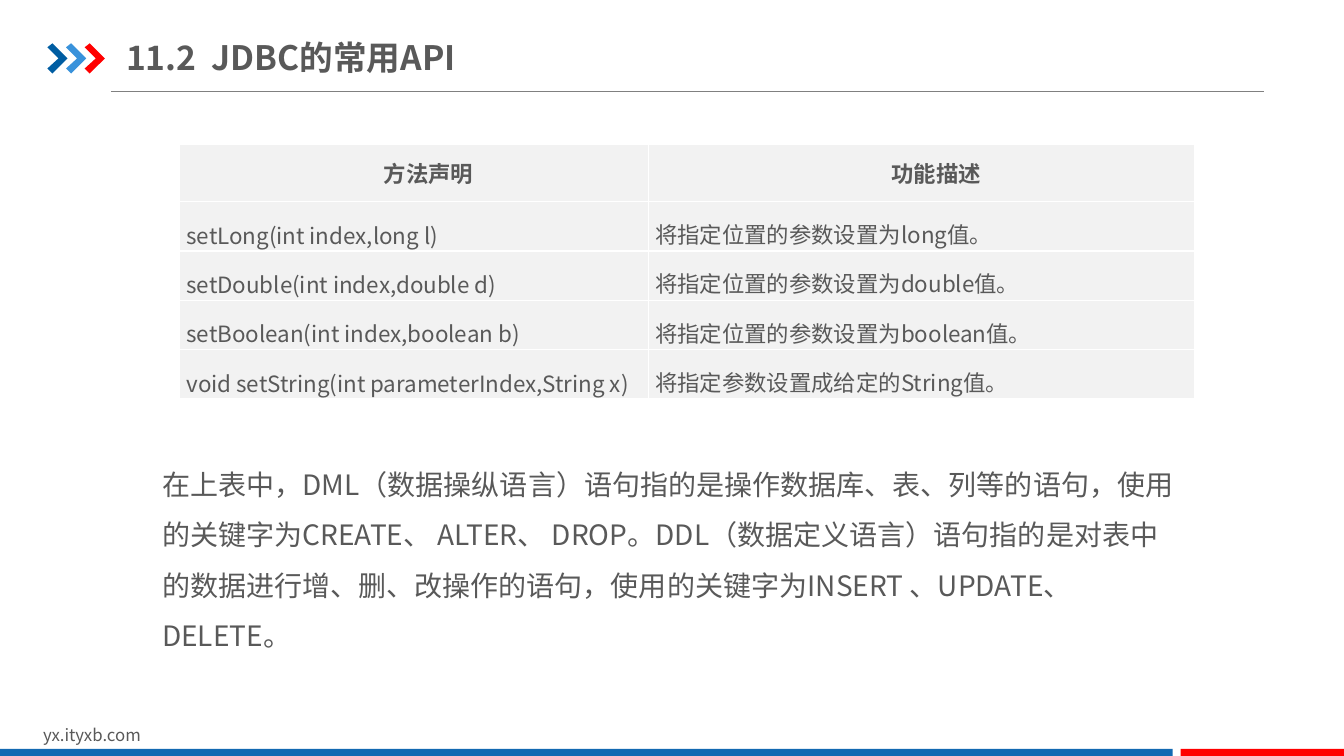
"""Build the JDBC common API slide with its method table."""
from dataclasses import dataclass

from lxml import etree
from pptx import Presentation
from pptx import util as u
from pptx.dml.color import RGBColor
from pptx.enum import shapes, text
from pptx.oxml import ns


@dataclass(frozen=True)
class Theme:
    font: str = "Noto Sans CJK SC"
    ink: str = "595959"
    rule: str = "808080"
    cell: str = "F2F2F2"
    border: str = "FFFFFF"
    navy: str = "005DA2"
    sky: str = "3992DB"
    blue: str = "1369B2"
    red: str = "FF0000"
    title: int = 24
    body: int = 20
    table: int = 16
    footer: int = 12


@dataclass(frozen=True)
class Block:
    left: float
    top: float
    width: float
    height: float
    color: str = ""

    def box(self) -> tuple:
        return tuple(u.Inches(v) for v in (self.left, self.top, self.width, self.height))


@dataclass(frozen=True)
class Method:
    declaration: str
    description: str


T = Theme()
CHEVRON = [(0, 0.04), (0.05, 0), (0.2, 0.15), (0.05, 0.3), (0, 0.25), (0.11, 0.15)]
CHEVRONS = [Block(0.47 + 0.185 * i, 0.43, 0.2, 0.3, c) for i, c in enumerate((T.navy, T.sky, T.red))]
BARS = [Block(0, 7.43, 11.63, 0.09, T.blue), Block(11.71, 7.43, 1.63, 0.09, T.red)]
TITLE = Block(1.25, 0.29, 5.11, 0.55)
FOOTER = Block(0.33, 7.14, 3.18, 0.3)
BODY = Block(1.51, 4.42, 10.34, 1.61)
TABLE = Block(1.78, 1.43, 10.07, 2.53)
COLUMNS = (4.65, 5.42)
HEADER_HEIGHT, ROW_HEIGHT = 0.57, 0.49
METHODS = [
    Method("方法声明", "功能描述"),
    Method("setLong(int index,long l)", "将指定位置的参数设置为long值。"),
    Method("setDouble(int index,double d)", "将指定位置的参数设置为double值。"),
    Method("setBoolean(int index,boolean b)", "将指定位置的参数设置为boolean值。"),
    Method("void setString(int parameterIndex,String x)", "将指定参数设置成给定的String值。"),
]
NOTE = (
    "在上表中，DML（数据操纵语言）语句指的是操作数据库、表、列等的语句，"
    "使用的关键字为CREATE、 ALTER、 DROP。DDL（数据定义语言）语句指的是对"
    "表中的数据进行增、删、改操作的语句，使用的关键字为INSERT 、UPDATE、 DELETE。"
)


def write(tf, words: str, *, size: int, bold: bool = False, align=text.PP_ALIGN.LEFT,
          spacing: float = 1.0, indent: float = 0) -> None:
    p = tf.paragraphs[0]
    p.alignment, p.line_spacing = align, spacing
    if indent:
        p._p.get_or_add_pPr().set("indent", str(u.Inches(indent)))
    r = p.add_run()
    r.text = words
    r.font.name, r.font.size, r.font.bold = T.font, u.Pt(size), bold
    r.font.color.rgb = RGBColor.from_string(T.ink)
    etree.SubElement(r._r.get_or_add_rPr(), ns.qn("a:ea"), typeface=T.font)


def paint(sp, color: str) -> None:
    sp.shadow.inherit = False
    sp.fill.solid()
    sp.fill.fore_color.rgb = RGBColor.from_string(color)
    sp.line.fill.background()


def add_rule(s) -> None:
    ln = s.shapes.add_connector(shapes.MSO_CONNECTOR.STRAIGHT, u.Inches(1.1), u.Inches(0.91),
                                u.Inches(12.54), u.Inches(0.91))
    ln.line.color.rgb = RGBColor.from_string(T.rule)
    ln.line.width = u.Pt(0.75)
    etree.SubElement(ln._element.spPr, ns.qn("a:effectLst"))


def add_chevron(s, block: Block) -> None:
    points = [(u.Inches(block.left + x), u.Inches(block.top + y)) for x, y in CHEVRON]
    builder = s.shapes.build_freeform(*points[0])
    builder.add_line_segments(points[1:], close=True)
    paint(builder.convert_to_shape(), block.color)


def add_text(s, block: Block, words: str, *, size: int, spacing: float = 1.0) -> None:
    tf = s.shapes.add_textbox(*block.box()).text_frame
    tf.word_wrap = True
    tf.auto_size = text.MSO_AUTO_SIZE.SHAPE_TO_FIT_TEXT
    write(tf, words, size=size, spacing=spacing)


def add_title(s, words: str) -> None:
    sp = s.shapes.title
    sp.left, sp.top, sp.width, sp.height = TITLE.box()
    tf = sp.text_frame
    tf.word_wrap, tf.auto_size = True, text.MSO_AUTO_SIZE.NONE
    tf.vertical_anchor = text.MSO_ANCHOR.MIDDLE
    tf.margin_left = tf.margin_right = 0
    tf.margin_top = tf.margin_bottom = u.Inches(0.07)
    write(tf, words, size=T.title, bold=True)


def format_cell(cell) -> None:
    cell.margin_left = cell.margin_right = u.Inches(0.07)
    cell.margin_top = cell.margin_bottom = 0
    tcPr = cell._tc.get_or_add_tcPr()
    for side in ("lnL", "lnR", "lnT", "lnB"):
        ln = etree.SubElement(tcPr, ns.qn(f"a:{side}"), w=str(u.Pt(1)))
        fill = etree.SubElement(ln, ns.qn("a:solidFill"))
        etree.SubElement(fill, ns.qn("a:srgbClr"), val=T.border)
    cell.fill.solid()
    cell.fill.fore_color.rgb = RGBColor.from_string(T.cell)


def add_methods(s) -> None:
    table = s.shapes.add_table(len(METHODS), len(COLUMNS), *TABLE.box()).table
    for column, width in zip(table.columns, COLUMNS):
        column.width = u.Inches(width)
    for i, method in enumerate(METHODS):
        table.rows[i].height = u.Inches(ROW_HEIGHT if i else HEADER_HEIGHT)
        for j, words in enumerate((method.declaration, method.description)):
            cell = table.cell(i, j)
            format_cell(cell)
            cell.vertical_anchor = text.MSO_ANCHOR.TOP if i and j else text.MSO_ANCHOR.MIDDLE
            if i:
                write(cell.text_frame, words, size=T.table, spacing=1.5)
            else:
                write(cell.text_frame, words, size=T.table, bold=True,
                      align=text.PP_ALIGN.CENTER, indent=0.29)


def main() -> None:
    prs = Presentation()
    prs.slide_width, prs.slide_height = u.Inches(13.33), u.Inches(7.5)
    s = prs.slides.add_slide(prs.slide_layouts[5])
    add_rule(s)
    for block in CHEVRONS:
        add_chevron(s, block)
    add_text(s, FOOTER, "yx.ityxb.com", size=T.footer)
    for block in BARS:
        paint(s.shapes.add_shape(shapes.MSO_SHAPE.RECTANGLE, *block.box()), block.color)
    add_title(s, "11.2  JDBC的常用API")
    add_methods(s)
    add_text(s, BODY, NOTE, size=T.body, spacing=1.5)
    prs.save("out.pptx")


if __name__ == "__main__":
    main()
